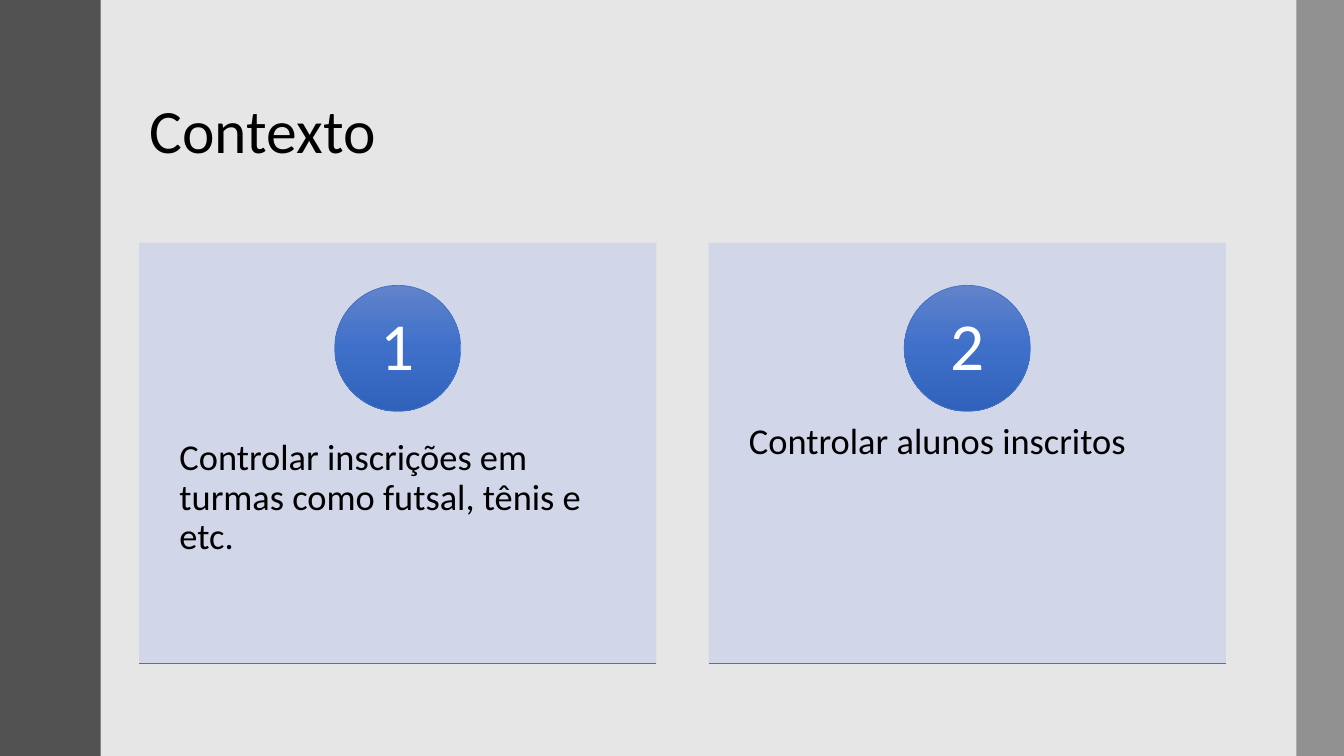
from copy import deepcopy
from lxml.etree import SubElement
from pptx import Presentation
from pptx.dml.color import RGBColor
from pptx.enum.shapes import MSO_CONNECTOR, MSO_SHAPE
from pptx.enum.text import MSO_ANCHOR, PP_ALIGN
from pptx.oxml.ns import qn
from pptx.util import Pt

COLORS = {
    "background": "E7E6E6", "left bar": "525252", "right bar": "595959",
    "card": "CFD5EA", "outline": "4472C4", "text": "000000", "number": "FFFFFF",
}
GRADIENT = [(0, "6183CB"), (0.5, "3E70CA"), (1, "3062BB")]
CARD_TEXTS = [
    "Controlar inscrições em turmas como futsal, tênis e etc.",
    "Controlar alunos inscritos",
]
CARD_LEFT, CARD_TOP, CARD_WIDTH, CARD_HEIGHT = 99.4, 173.5, 369.4, 300.2
CARD_STEP = 406.8
CIRCLE_SIZE = 90


def add_solid(kind, left, top, width, height, color, opacity=100):
    shape = page.shapes.add_shape(kind, Pt(left), Pt(top), Pt(width), Pt(height))
    shape.shadow.inherit = False
    shape.line.fill.background()
    shape.fill.solid()
    shape.fill.fore_color.rgb = RGBColor.from_string(COLORS[color])
    if opacity < 100:
        rgb = shape._element.spPr.find(qn("a:solidFill")).find(qn("a:srgbClr"))
        SubElement(rgb, qn("a:alpha"), val=str(opacity * 1000))
    return shape


def write(frame, text, size, color, align=PP_ALIGN.LEFT):
    frame.word_wrap = True
    frame.text = text
    para = frame.paragraphs[0]
    para.alignment = align
    para.line_spacing = 0.9
    para.font.name = "Calibri"
    para.font.size = Pt(size)
    para.font.color.rgb = RGBColor.from_string(COLORS[color])


deck = Presentation()
deck.slide_width, deck.slide_height = Pt(960), Pt(540)
page = deck.slides.add_slide(deck.slide_layouts[5])
page.background.fill.solid()
page.background.fill.fore_color.rgb = RGBColor.from_string(COLORS["background"])

title = page.shapes.title
title.left, title.top, title.width, title.height = Pt(CARD_LEFT), Pt(43), Pt(776), Pt(104.4)
title.text_frame.vertical_anchor = MSO_ANCHOR.MIDDLE
write(title.text_frame, "Contexto", 44, "text")

add_solid(MSO_SHAPE.RECTANGLE, 0, 0, 72, 540, "left bar")
add_solid(MSO_SHAPE.RECTANGLE, 926, 0, 34, 540, "right bar", 60)

for index, text in enumerate(CARD_TEXTS):
    left = CARD_LEFT + index * CARD_STEP
    bottom = CARD_TOP + CARD_HEIGHT
    add_solid(MSO_SHAPE.RECTANGLE, left, CARD_TOP, CARD_WIDTH, CARD_HEIGHT, "card", 90)

    box = page.shapes.add_textbox(Pt(left), Pt(288), Pt(CARD_WIDTH), Pt(180))
    frame = box.text_frame
    frame.margin_left = frame.margin_right = Pt(28.8)
    frame.margin_top = frame.margin_bottom = Pt(26)
    write(frame, text, 26, "text")

    circle = add_solid(MSO_SHAPE.OVAL, left + (CARD_WIDTH - CIRCLE_SIZE) / 2, 203.8,
                       CIRCLE_SIZE, CIRCLE_SIZE, "outline")
    circle.line.color.rgb = RGBColor.from_string(COLORS["outline"])
    circle.line.width = Pt(0.5)
    circle.fill.gradient()
    circle.fill.gradient_angle = 270
    stops = circle._element.spPr.find(qn("a:gradFill")).find(qn("a:gsLst"))
    stops.append(deepcopy(stops[0]))
    for stop, (position, color) in zip(circle.fill.gradient_stops, GRADIENT):
        stop.position = position
        stop.color.rgb = RGBColor.from_string(color)
    frame = circle.text_frame
    frame.vertical_anchor = MSO_ANCHOR.MIDDLE
    frame.margin_top = frame.margin_bottom = Pt(1)
    write(frame, str(index + 1), 48, "number", PP_ALIGN.CENTER)

    rule = page.shapes.add_connector(MSO_CONNECTOR.STRAIGHT, Pt(left), Pt(bottom),
                                     Pt(left + CARD_WIDTH), Pt(bottom))
    rule.line.color.rgb = RGBColor.from_string(COLORS["outline"])
    rule.line.width = Pt(0.5)
    SubElement(rule._element.spPr, qn("a:effectLst"))

deck.save("out.pptx")
